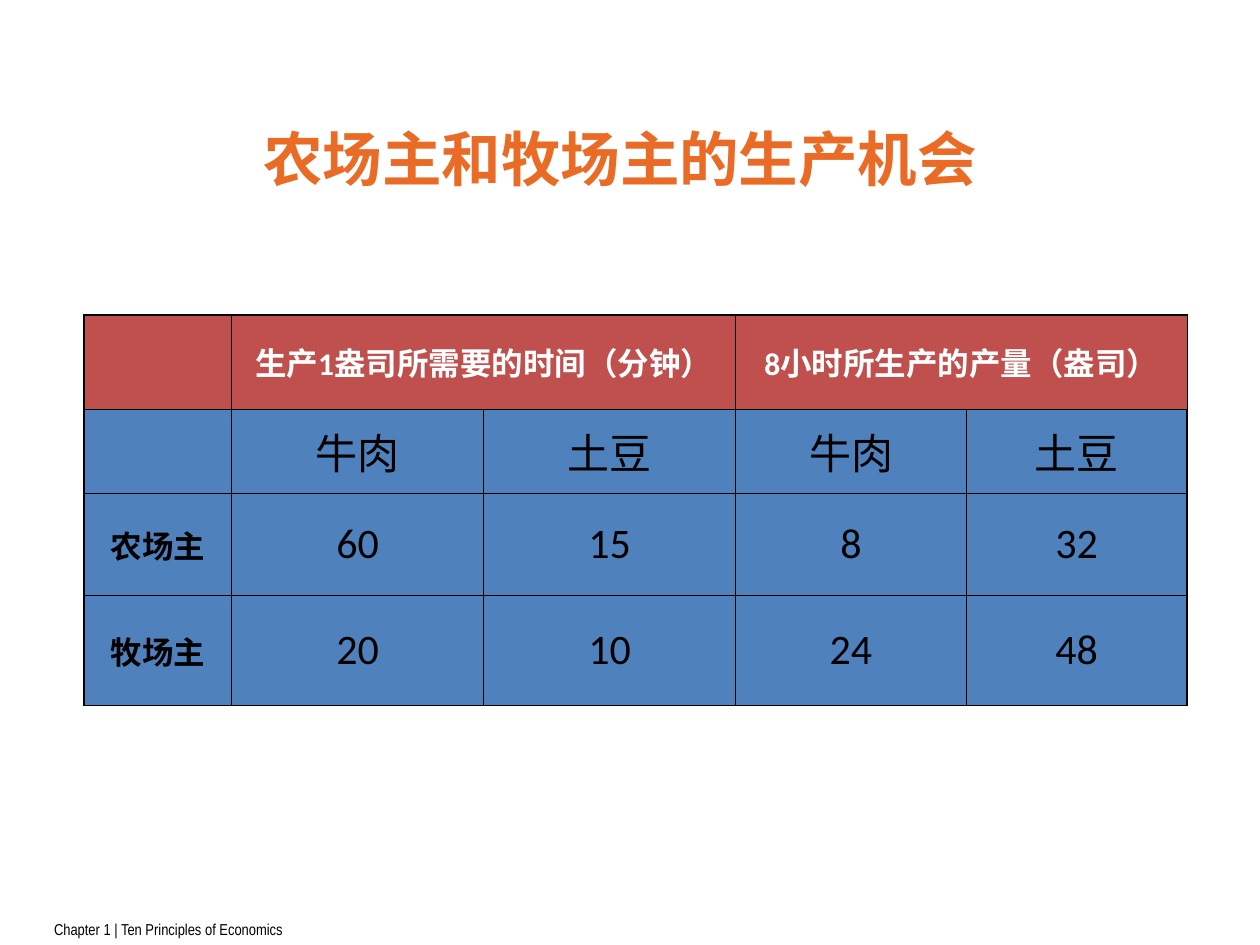
from lxml import etree
from pptx import Presentation
from pptx.dml.color import RGBColor
from pptx.enum.text import MSO_ANCHOR, PP_ALIGN
from pptx.oxml.ns import qn
from pptx.util import Cm, Pt

CENTER, LEFT = PP_ALIGN.CENTER, PP_ALIGN.LEFT
TOP, MIDDLE = MSO_ANCHOR.TOP, MSO_ANCHOR.MIDDLE

# Content
TITLE = "农场主和牧场主的生产机会"
FOOTER = "Chapter 1 | Ten Principles of Economics"
ROWS = [
    ["", "生产1盎司所需要的时间（分钟）", "", "8小时所生产的产量（盎司）", ""],
    ["", "牛肉", "土豆", "牛肉", "土豆"],
    ["农场主", "60", "15", "8", "32"],
    ["牧场主", "20", "10", "24", "48"],
]
HEADER_STARTS = [1, 3]  # each header spans two columns

# Layout in centimetres
COLUMN_WIDTHS = [2.97, 5.08, 5.08, 4.65, 4.45]
ROW_HEIGHTS = [1.9, 1.7, 2.06, 2.21]
TABLE_LEFT, TABLE_TOP = 1.7, 6.35

# Style
ORANGE, RED, BLUE = "E96B25", "C0504D", "4F81BD"
BLACK, WHITE = "000000", "FFFFFF"
OUTER_LINE, INNER_LINE = 1.08, 0.45


def color(hex_value):
    return RGBColor.from_string(hex_value)


def write(text_frame, text, size, hex_value, bold=False, font="Calibri", align=CENTER):
    text_frame.text = text
    paragraph = text_frame.paragraphs[0]
    paragraph.alignment = align
    for run in paragraph.runs:
        run.font.name = font
        run.font.size = Pt(size)
        run.font.bold = bold
        run.font.color.rgb = color(hex_value)


def set_borders(cell, widths):
    properties = cell._tc.get_or_add_tcPr()
    for position, (side, width) in enumerate(widths.items()):
        line = etree.Element(qn(f"a:ln{side}"), w=str(int(Pt(width))))
        fill = etree.SubElement(line, qn("a:solidFill"))
        etree.SubElement(fill, qn("a:srgbClr"), val=BLACK)
        properties.insert(position, line)


presentation = Presentation()
presentation.slide_width, presentation.slide_height = Cm(25.4), Cm(19.05)
slide = presentation.slides.add_slide(presentation.slide_layouts[5])

# Title
title = slide.shapes.title
title.left, title.top, title.width, title.height = Cm(1.07), Cm(2.34), Cm(22.86), Cm(3.18)
title.fill.solid()
title.fill.fore_color.rgb = color(WHITE)
title.line.color.rgb = color(WHITE)
title.line.width = Pt(0.75)
title.text_frame.vertical_anchor = TOP
write(title.text_frame, TITLE, 34, ORANGE, bold=True)

# Table
last_row, last_column = len(ROWS) - 1, len(COLUMN_WIDTHS) - 1
table = slide.shapes.add_table(
    len(ROWS), len(COLUMN_WIDTHS), Cm(TABLE_LEFT), Cm(TABLE_TOP),
    Cm(sum(COLUMN_WIDTHS)), Cm(sum(ROW_HEIGHTS))).table
for column, width in zip(table.columns, COLUMN_WIDTHS):
    column.width = Cm(width)
for row, height in zip(table.rows, ROW_HEIGHTS):
    row.height = Cm(height)
for start in HEADER_STARTS:
    table.cell(0, start).merge(table.cell(0, start + 1))

for r, texts in enumerate(ROWS):
    for c, text in enumerate(texts):
        cell = table.cell(r, c)
        is_header = r == 0
        is_label = is_header or c == 0
        cell.fill.solid()
        cell.fill.fore_color.rgb = color(RED if is_header else BLUE)
        cell.vertical_anchor = MIDDLE
        on_edge = {"L": c == 0, "R": c == last_column, "T": r == 0, "B": r == last_row}
        set_borders(cell, {side: OUTER_LINE if outer else INNER_LINE
                           for side, outer in on_edge.items()})
        if text:
            write(cell.text_frame, text, 18 if is_label else 24,
                  WHITE if is_header else BLACK, bold=is_label)

# Footer
footer = slide.shapes.add_textbox(Cm(0.84), Cm(18.42), Cm(19.25), Cm(0.63))
footer.text_frame.word_wrap = True
write(footer.text_frame, FOOTER, 9, BLACK, font="Arial Narrow", align=LEFT)

presentation.save("out.pptx")
